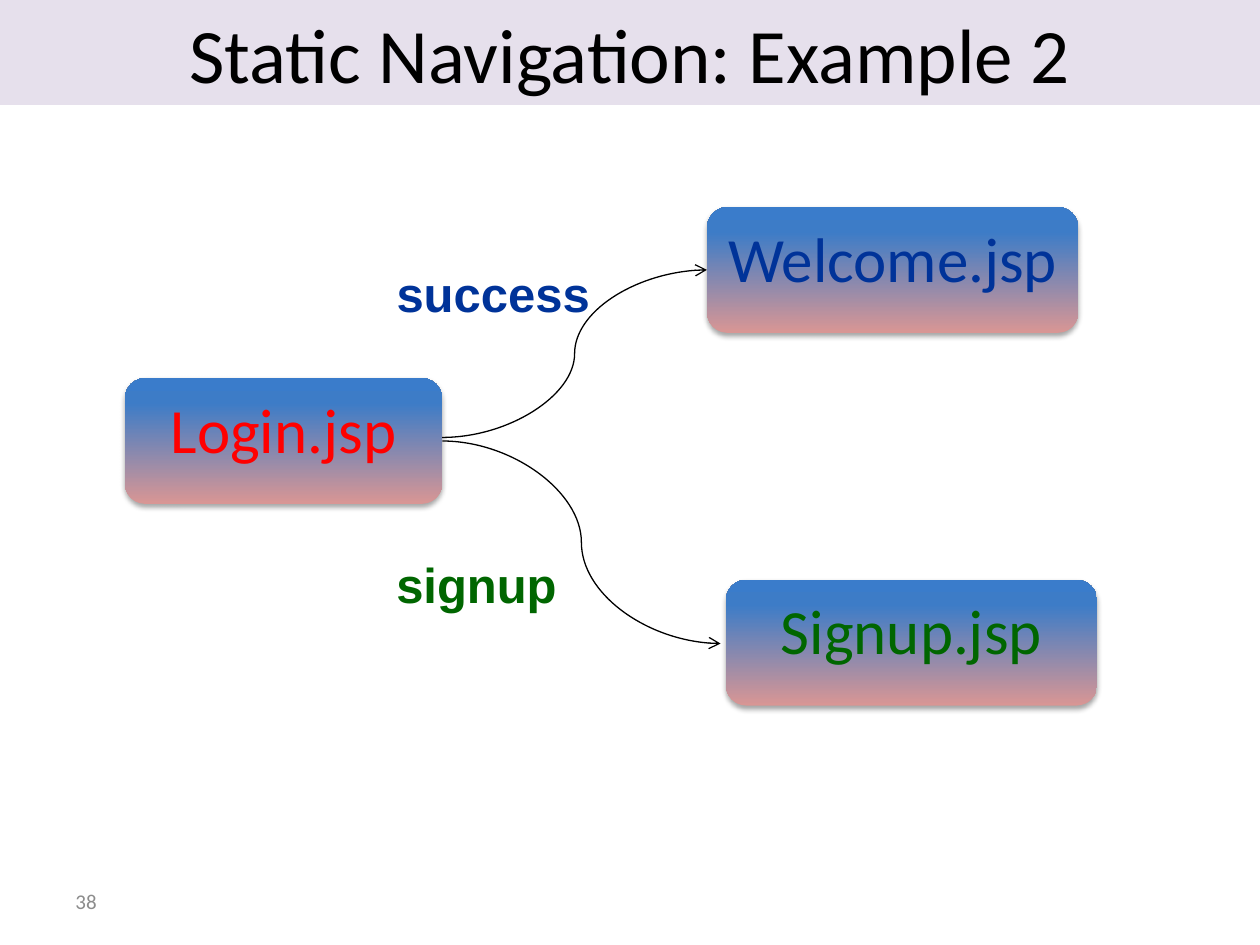
from copy import deepcopy

from lxml.etree import SubElement
from pptx import Presentation
from pptx.dml.color import RGBColor
from pptx.enum.shapes import MSO_CONNECTOR, MSO_SHAPE
from pptx.enum.text import MSO_ANCHOR, PP_ALIGN
from pptx.oxml.ns import qn
from pptx.util import Pt

RED, GREEN, NAVY = "FF0000", "006600", "003399"
RIGHT_SIDE, LEFT_SIDE = 3, 1


def color(hex_string):
    return RGBColor.from_string(hex_string)


class NavigationSlide:
    heading_font, label_font = "Calibri", "Arial"
    band, ink, muted = "E6E0EC", "000000", "8C8C8C"
    gradient = [(0, "D99694"), (0.8, "3D7CC7"), (1, "3A7CCB")]
    page_height = 72

    def __init__(self, slide):
        self.slide = slide

    def set_text(self, shape, text, size, hex_color, font, align=PP_ALIGN.LEFT,
                 anchor=MSO_ANCHOR.TOP, bold=False):
        frame = shape.text_frame
        frame.word_wrap = True
        frame.vertical_anchor = anchor
        paragraph = frame.paragraphs[0]
        paragraph.alignment = align
        run = paragraph.add_run()
        run.text = text
        run.font.size = Pt(size)
        run.font.name = font
        run.font.bold = bold
        run.font.color.rgb = color(hex_color)

    def title(self, text, width, height):
        title = self.slide.shapes.title
        title.left, title.top, title.width, title.height = Pt(0), Pt(0), Pt(width), Pt(height)
        title.fill.solid()
        title.fill.fore_color.rgb = color(self.band)
        self.set_text(title, text, 44, self.ink, self.heading_font,
                      PP_ALIGN.CENTER, MSO_ANCHOR.MIDDLE)

    def text(self, text, left, top, width, height, size, hex_color, font, **style):
        box = self.slide.shapes.add_textbox(Pt(left), Pt(top), Pt(width), Pt(height))
        self.set_text(box, text, size, hex_color, font, **style)

    def outcome(self, text, left, top, width, hex_color, align):
        """Label the arrow that is followed for this outcome."""
        self.text(text, left, top, width, 41, 28, hex_color, self.label_font,
                  align=align, bold=True)

    def page(self, text, left, top, width, hex_color):
        """Add a rounded box that stands for one JSP page."""
        box = self.slide.shapes.add_shape(
            MSO_SHAPE.ROUNDED_RECTANGLE, Pt(left), Pt(top), Pt(width), Pt(self.page_height))
        box.line.fill.background()
        self.fill_gradient(box)
        self.drop_shadow(box)
        self.set_text(box, text, 36, hex_color, self.heading_font, PP_ALIGN.CENTER)
        return box

    def fill_gradient(self, shape):
        shape.fill.gradient()
        shape.fill.gradient_angle = 90
        stop_list = shape._element.spPr.find(qn("a:gradFill")).find(qn("a:gsLst"))
        stop_list.append(deepcopy(stop_list[0]))
        for stop, (position, hex_color) in zip(shape.fill.gradient_stops, self.gradient):
            stop.position = position
            stop.color.rgb = color(hex_color)

    def drop_shadow(self, shape):
        shape.shadow.inherit = False
        effects = shape._element.spPr.find(qn("a:effectLst"))
        shadow = SubElement(effects, qn("a:outerShdw"), blurRad=str(int(Pt(3.1))),
                            dist=str(int(Pt(1.8))), dir="5400000", rotWithShape="0")
        shade = SubElement(shadow, qn("a:srgbClr"), val=self.ink)
        SubElement(shade, qn("a:alpha"), val="35000")

    def arrow(self, start, end):
        curve = self.slide.shapes.add_connector(
            MSO_CONNECTOR.CURVE, *(Pt(value) for value in start + end))
        curve.line.color.rgb = color(self.ink)
        curve.line.width = Pt(0.75)
        properties = curve._element.spPr
        SubElement(properties.find(qn("a:ln")), qn("a:tailEnd"), type="arrow")
        SubElement(properties, qn("a:effectLst"))
        return curve


def main():
    deck = Presentation()
    deck.slide_width, deck.slide_height = Pt(720), Pt(540)
    page = NavigationSlide(deck.slides.add_slide(deck.slide_layouts[5]))

    page.title("Static Navigation: Example 2", 720, 60)
    page.text("38", 36, 500.5, 168, 28.75, 12, page.muted, page.heading_font,
              anchor=MSO_ANCHOR.MIDDLE)

    login = page.page("Login.jsp", 71.25, 216, 181.5, RED)
    page.page("Signup.jsp", 414.75, 331.25, 212.25, GREEN)
    welcome = page.page("Welcome.jsp", 404, 118.25, 212.25, NAVY)

    to_welcome = page.arrow((252.75, 250), (404, 154.25))
    to_welcome.end_connect(welcome, LEFT_SIDE)
    to_signup = page.arrow((252.75, 252), (411.75, 367.75))
    to_signup.begin_connect(login, RIGHT_SIDE)

    page.outcome("success", 219.5, 147, 142, NAVY, PP_ALIGN.LEFT)
    page.outcome("signup", 215.25, 313.25, 114, GREEN, PP_ALIGN.CENTER)

    deck.save("out.pptx")


if __name__ == "__main__":
    main()
